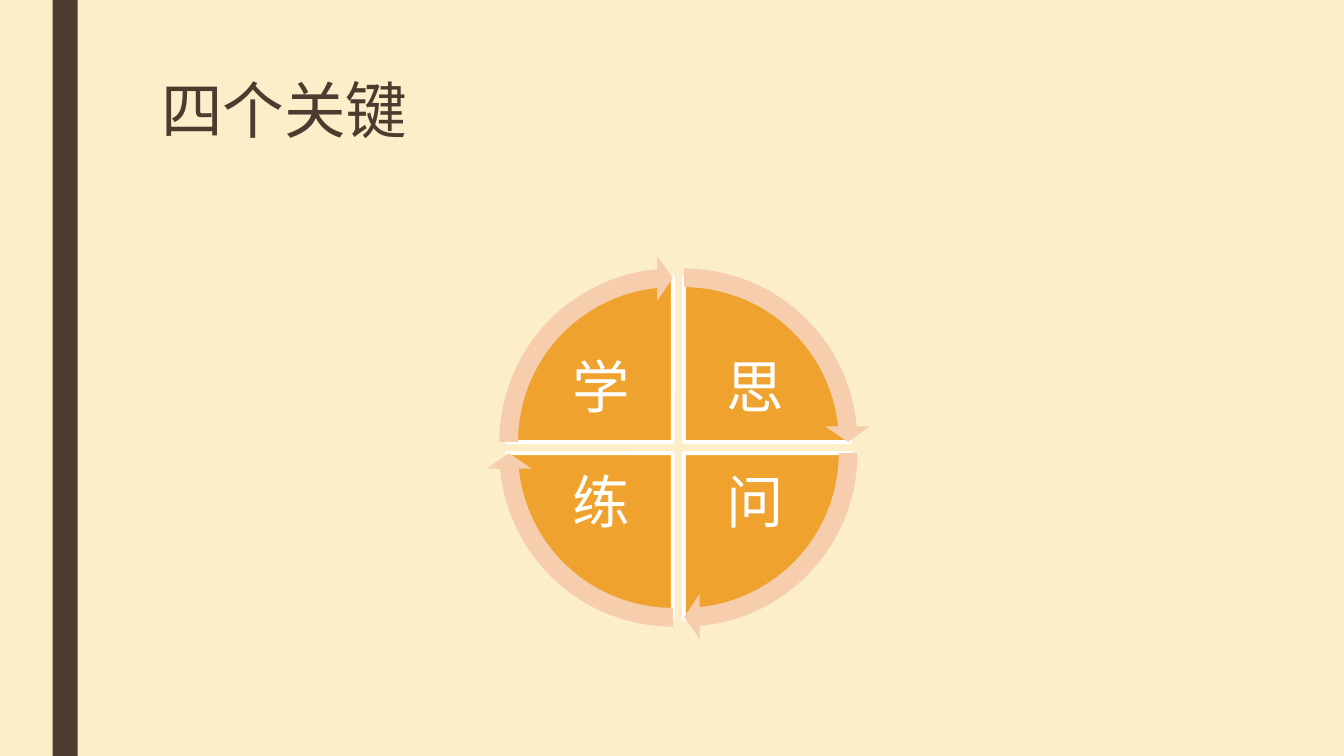
import dataclasses
import typing

import pptx
import pptx.dml.color
import pptx.enum.shapes
import pptx.enum.text
import pptx.util

Pt = pptx.util.Pt
MSO_SHAPE = pptx.enum.shapes.MSO_SHAPE
ANCHOR = pptx.enum.text.MSO_ANCHOR
ALIGN = pptx.enum.text.PP_ALIGN


@dataclasses.dataclass(frozen=True)
class Theme:
    background: str = "FBEEC9"
    dark: str = "4E3B30"
    wedge: str = "F0A22E"
    arrow: str = "F6CEAD"
    white: str = "FFFFFF"
    font: str = "Roboto"
    title_size: float = 44
    label_size: float = 41


@dataclasses.dataclass(frozen=True)
class Quadrant:
    label: str
    right: int  # 1 right of the centre, -1 left
    down: int  # 1 below the centre, -1 above
    start: float  # start angle in adjustment units


THEME = Theme()
QUADRANTS = (
    Quadrant("思", 1, -1, 162),
    Quadrant("问", 1, 1, 0),
    Quadrant("练", -1, 1, 54),
    Quadrant("学", -1, -1, 108),
)

# Cycle geometry in points; angles in adjustment units
CENTRE_X, CENTRE_Y = 484.6, 319.7
HALF_GAP = 4
WEDGE_SIZE, ARROW_SIZE = 236.9, 266.4
LABEL_X, LABEL_Y = 55.1, 41
LABEL_WIDTH, LABEL_HEIGHT = 87.1, 64.8
FULL_TURN, QUARTER_TURN = 216, 54
ARROW_SWEEP, ARROW_HEAD = 50.72, 3.28
ARROW_THICKNESS, ARROW_HEAD_WIDTH = 0.05, 0.06


def rgb(value: str) -> pptx.dml.color.RGBColor:
    return pptx.dml.color.RGBColor.from_string(value)


def add_filled_shape(slide, kind, left: float, top: float, width: float, height: float,
                     fill: str, line: typing.Optional[str] = None,
                     adjustments: typing.Sequence[float] = ()) -> None:
    shape = slide.shapes.add_shape(kind, Pt(left), Pt(top), Pt(width), Pt(height))
    shape.shadow.inherit = False
    shape.fill.solid()
    shape.fill.fore_color.rgb = rgb(fill)
    if line:
        shape.line.color.rgb = rgb(line)
        shape.line.width = Pt(2.75)
    else:
        shape.line.fill.background()
    for index, value in enumerate(adjustments):
        shape.adjustments[index] = value


def add_text(slide, text: str, left: float, top: float, width: float, height: float, *,
             size: float, color: str, spacing: float = 0.9, align=ALIGN.LEFT,
             anchor=ANCHOR.TOP, inset_x: float = 7.2, inset_y: float = 3.6) -> None:
    frame = slide.shapes.add_textbox(Pt(left), Pt(top), Pt(width), Pt(height)).text_frame
    frame.word_wrap = True
    frame.vertical_anchor = anchor
    frame.margin_left = frame.margin_right = Pt(inset_x)
    frame.margin_top = frame.margin_bottom = Pt(inset_y)
    paragraph = frame.paragraphs[0]
    paragraph.alignment = align
    paragraph.line_spacing = spacing
    run = paragraph.add_run()
    run.text = text
    run.font.name = THEME.font
    run.font.size = Pt(size)
    run.font.color.rgb = rgb(color)


def add_round_part(slide, quadrant: Quadrant, kind, size: float, fill: str,
                   adjustments: typing.Sequence[float],
                   line: typing.Optional[str] = None) -> None:
    left = CENTRE_X + quadrant.right * HALF_GAP - size / 2
    top = CENTRE_Y + quadrant.down * HALF_GAP - size / 2
    add_filled_shape(slide, kind, left, top, size, size, fill, line, adjustments)


def add_wedge(slide, quadrant: Quadrant) -> None:
    end = (quadrant.start + QUARTER_TURN) % FULL_TURN
    add_round_part(slide, quadrant, MSO_SHAPE.PIE, WEDGE_SIZE, THEME.wedge,
                   (quadrant.start, end), THEME.white)
    add_text(slide, quadrant.label,
             CENTRE_X + quadrant.right * LABEL_X - LABEL_WIDTH / 2,
             CENTRE_Y + quadrant.down * LABEL_Y - LABEL_HEIGHT / 2,
             LABEL_WIDTH, LABEL_HEIGHT, size=THEME.label_size, color=THEME.white,
             align=ALIGN.CENTER, anchor=ANCHOR.MIDDLE, inset_x=4.3, inset_y=4.3)


def add_arrow(slide, quadrant: Quadrant) -> None:
    add_round_part(slide, quadrant, MSO_SHAPE.CIRCULAR_ARROW, ARROW_SIZE, THEME.arrow,
                   (ARROW_THICKNESS, ARROW_HEAD, quadrant.start + ARROW_SWEEP,
                    quadrant.start, ARROW_HEAD_WIDTH))


def main() -> None:
    presentation = pptx.Presentation()
    presentation.slide_width, presentation.slide_height = Pt(960), Pt(540)
    slide = presentation.slides.add_slide(presentation.slide_layouts[6])
    slide.background.fill.solid()
    slide.background.fill.fore_color.rgb = rgb(THEME.background)

    # Side bar and title
    add_filled_shape(slide, MSO_SHAPE.RECTANGLE, 37.5, 0, 18, 540, THEME.dark)
    add_text(slide, "四个关键", 108, 54, 756, 116.6,
             size=THEME.title_size, color=THEME.dark, spacing=0.89)

    # Cycle: wedges with labels, then the arrows on top
    for quadrant in QUADRANTS:
        add_wedge(slide, quadrant)
    for quadrant in QUADRANTS:
        add_arrow(slide, quadrant)

    presentation.save("out.pptx")


if __name__ == "__main__":
    main()
